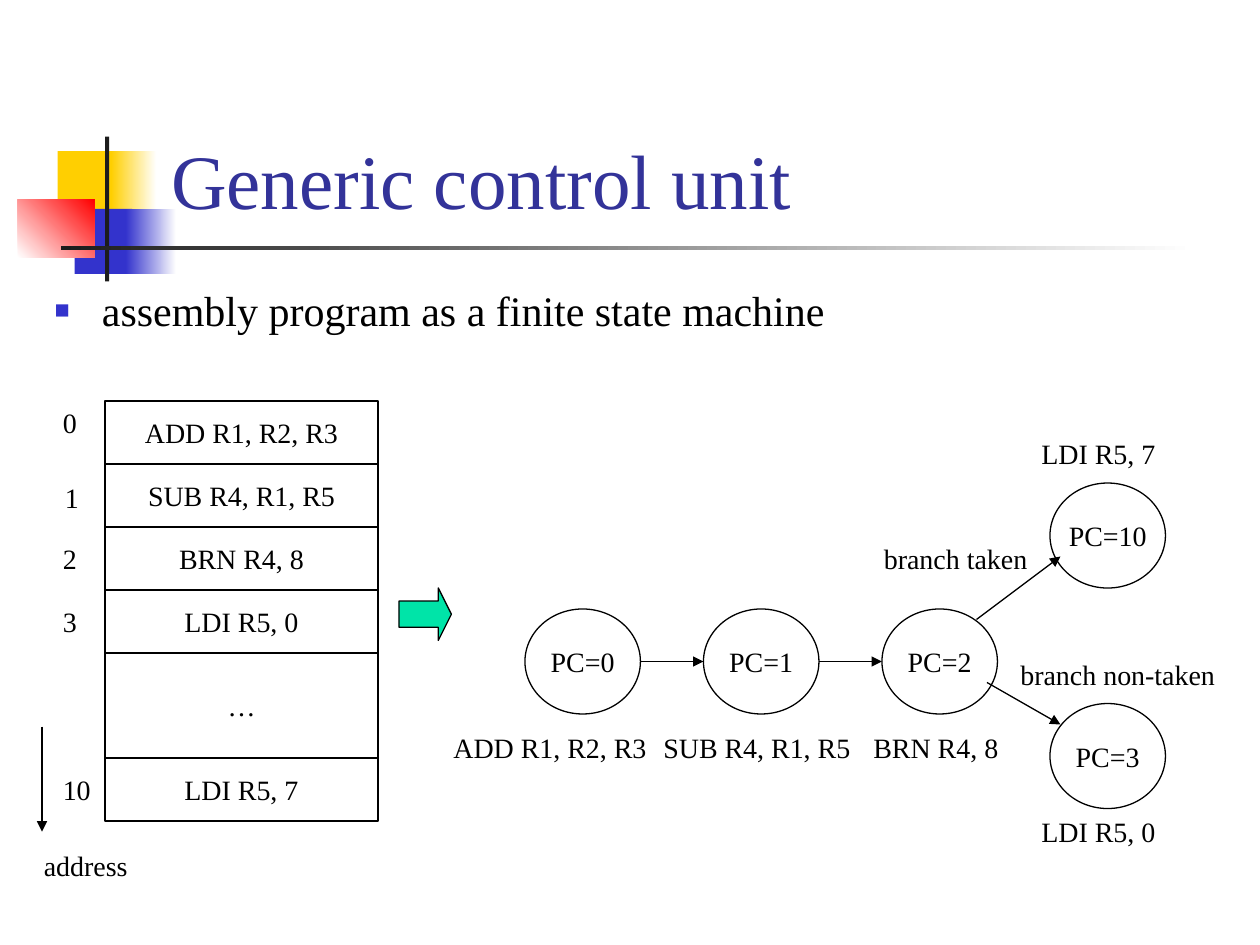
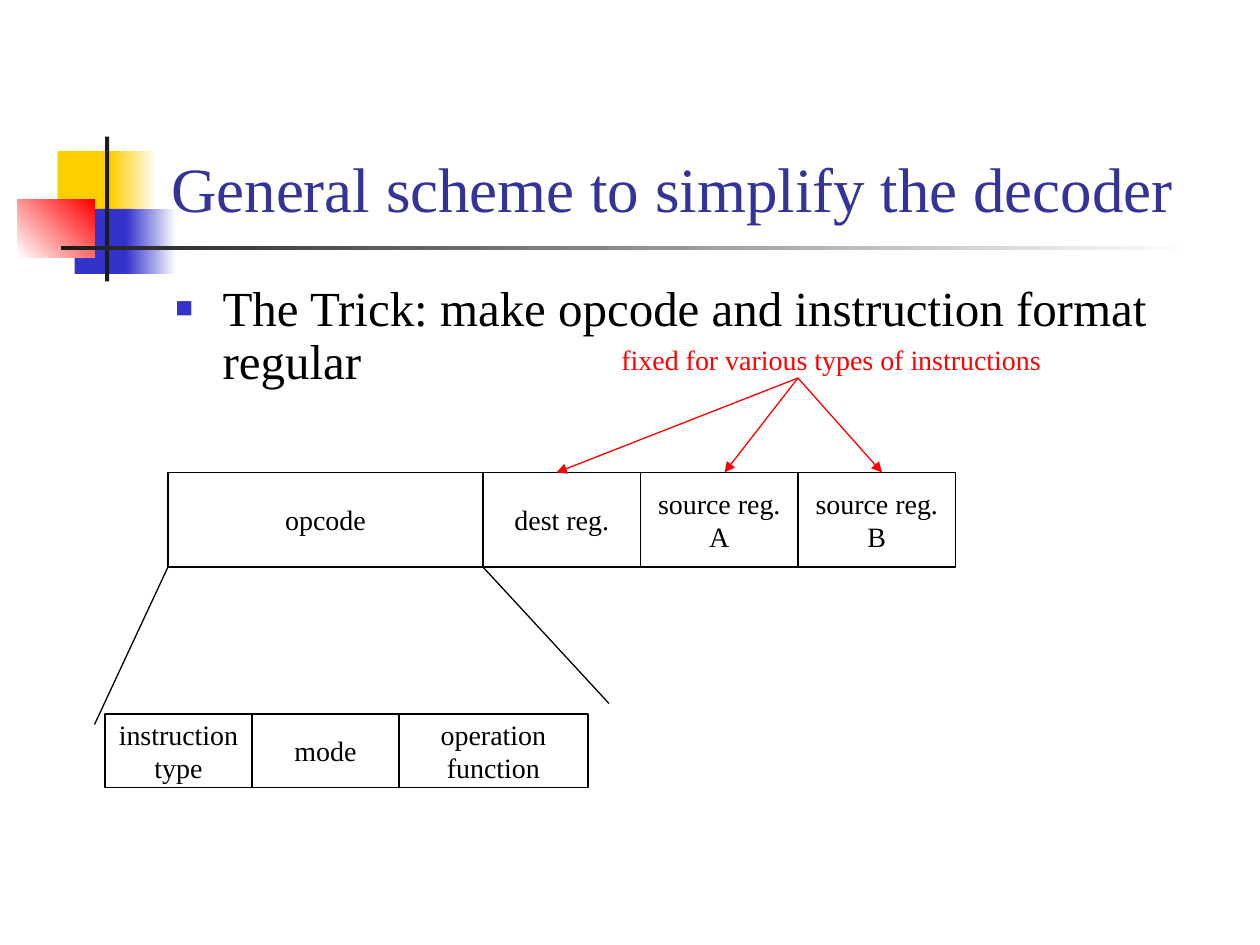
from itertools import accumulate

from lxml import etree
from pptx import Presentation
from pptx.dml.color import RGBColor
from pptx.enum import shapes, text
from pptx.oxml.ns import qn
from pptx import util as u

PX = 7620
FONT = "Times New Roman"
COLORS = {
    "ink": "000000", "paper": "FFFFFF", "title": "333399", "bar": "1C1C1C",
    "yellow": "FFCF01", "blue": "3333CC", "red": "FF0000", "green": "00E4A8",
}
RECT = shapes.MSO_SHAPE.RECTANGLE
LABEL_HEIGHT = 44


def px(*lengths):
    """Turn px lengths into EMU."""
    return [u.Emu(length * PX) for length in lengths]


def rgb(name):
    """Look up a named colour."""
    return RGBColor.from_string(COLORS[name])


def style(frame, size, color="ink", align=text.PP_ALIGN.LEFT):
    """Give every paragraph of a text frame one font and alignment."""
    for paragraph in frame.paragraphs:
        paragraph.alignment = align
        paragraph.font.name = FONT
        paragraph.font.size = u.Pt(size)
        paragraph.font.color.rgb = rgb(color)


def add_node(slide, kind, box, caption="", fill=None):
    """Add an outlined shape with a centred caption."""
    node = slide.shapes.add_shape(kind, *px(*box))
    node.shadow.inherit = False
    node.line.color.rgb = rgb("ink")
    node.line.width = u.Pt(0.75)
    if fill:
        node.fill.solid()
        node.fill.fore_color.rgb = rgb(fill)
    else:
        node.fill.background()
    if caption:
        frame = node.text_frame
        frame.text = caption
        frame.word_wrap = False
        frame.vertical_anchor = text.MSO_ANCHOR.MIDDLE
        style(frame, 16, align=text.PP_ALIGN.CENTER)
    return node


def add_label(slide, left, top, width, caption, color="ink"):
    """Add a one-line free label."""
    frame = slide.shapes.add_textbox(*px(left, top, width, LABEL_HEIGHT)).text_frame
    frame.text = caption
    frame.word_wrap = False
    frame.auto_size = text.MSO_AUTO_SIZE.SHAPE_TO_FIT_TEXT
    style(frame, 16, color)


def add_link(slide, x1, y1, x2, y2, color="ink", arrow=True):
    """Add a straight line, with an arrowhead at its end if wanted."""
    link = slide.shapes.add_connector(shapes.MSO_CONNECTOR.STRAIGHT, *px(x1, y1, x2, y2))
    link.line.color.rgb = rgb(color)
    link.line.width = u.Pt(0.75)
    properties = link.element.spPr
    if arrow:
        etree.SubElement(properties.find(qn("a:ln")), qn("a:tailEnd"), type="triangle")
    etree.SubElement(properties, qn("a:effectLst"))


def add_row(slide, left, top, height, fields):
    """Add adjoining cells from (width, caption) pairs."""
    for width, caption in fields:
        add_node(slide, RECT, (left, top, width, height), caption)
        left += width


def decorate_layout(layout, slide):
    """Move the coloured squares and bars, drawn on a slide, to its layout."""
    for holder in list(layout.placeholders):
        if holder.placeholder_format.idx >= 10:
            layout.shapes.element.remove(holder.element)
    ornaments = [
        ((55, 144, 58, 62), ["yellow"], 0),
        ((106, 144, 43, 62), ["yellow", "paper"], 0),
        ((71, 199, 55, 62), ["blue"], 0),
        ((120, 199, 48, 62), ["blue", "paper"], 0),
        ((17, 190, 73, 55), ["paper", "red"], 45),
        ((100, 130, 4, 138), ["bar"], 0),
        ((58, 234, 1080, 4), ["bar", "paper"], 0),
    ]
    for box, tones, angle in ornaments:
        ornament = slide.shapes.add_shape(RECT, *px(*box))
        ornament.shadow.inherit = False
        ornament.line.fill.background()
        if len(tones) == 1:
            ornament.fill.solid()
            ornament.fill.fore_color.rgb = rgb(tones[0])
        else:
            ornament.fill.gradient()
            ornament.fill.gradient_angle = angle
            for stop, tone in zip(ornament.fill.gradient_stops, tones):
                stop.color.rgb = rgb(tone)
        layout.shapes.element.append(ornament.element)


def place(holder, box, caption, size, color):
    """Move a placeholder into a box and fill it with text."""
    holder.left, holder.top, holder.width, holder.height = px(*box)
    frame = holder.text_frame
    frame.text = caption
    frame.word_wrap = True
    frame.auto_size = text.MSO_AUTO_SIZE.NONE
    style(frame, size, color)
    return frame


def add_heading(slide, title, title_size, bullet, bullet_size, bullet_box):
    """Fill the title and the single square-bulleted line."""
    heading = place(slide.shapes.title, (151, 28, 1022, 192), title, title_size, "title")
    heading.vertical_anchor = text.MSO_ANCHOR.BOTTOM
    body = place(slide.placeholders[1], bullet_box, bullet, bullet_size, "ink")
    body.vertical_anchor = text.MSO_ANCHOR.TOP
    paragraph = body.paragraphs[0]
    paragraph.line_spacing = 0.9
    properties = paragraph._p.get_or_add_pPr()
    indent = 45 * PX
    properties.set("marL", str(indent))
    properties.set("indent", str(-indent))
    bullet_color = etree.Element(qn("a:buClr"))
    etree.SubElement(bullet_color, qn("a:srgbClr"), val=COLORS["blue"])
    marks = [
        bullet_color,
        etree.Element(qn("a:buSzPct"), val="60000"),
        etree.Element(qn("a:buFont"), typeface=FONT),
        etree.Element(qn("a:buChar"), char="■"),
    ]
    position = list(properties).index(properties.find(qn("a:lnSpc"))) + 1
    for offset, mark in enumerate(marks):
        properties.insert(position + offset, mark)


def add_memory(slide, left, top):
    """Draw the program memory with its addresses."""
    program = [(60, "ADD R1, R2, R3"), (60, "SUB R4, R1, R5"), (60, "BRN R4, 8"),
               (60, "LDI R5, 0"), (100, "…"), (60, "LDI R5, 7")]
    ends = accumulate(height for height, _ in program)
    for (height, instruction), end in zip(program, ends):
        add_node(slide, RECT, (left + 70, top + 2 + end - height, 260, height), instruction)
    for x, y, width, address in [(18, 0, 37, "0"), (20, 72, 37, "1"), (18, 130, 37, "2"),
                                 (18, 190, 37, "3"), (18, 350, 52, "10"),
                                 (0, 422, 104, "address")]:
        add_label(slide, left + x, top + y, width, address)
    add_link(slide, left + 10, top + 312, left + 10, top + 412)


def add_state_machine(slide, left, top):
    """Draw the program counter states, transitions and instructions."""
    states = [(80, 170, "PC=0"), (250, 170, "PC=1"), (420, 170, "PC=2"),
              (580, 260, "PC=3"), (580, 50, "PC=10")]
    for x, y, state in states:
        add_node(slide, shapes.MSO_SHAPE.OVAL, (left + x, top + y, 110, 100), state)
    for x1, y1, x2, y2 in [(190, 220, 250, 220), (360, 220, 420, 220),
                           (520, 240, 590, 280), (510, 180, 590, 120)]:
        add_link(slide, left + x1, top + y1, left + x2, top + y2)
    for x, y, width, caption in [
        (410, 100, 162, "branch taken"), (540, 210, 210, "branch non-taken"),
        (0, 280, 208, "ADD R1, R2, R3"), (200, 280, 203, "SUB R4, R1, R5"),
        (400, 280, 143, "BRN R4, 8"), (560, 0, 133, "LDI R5, 7"),
        (560, 360, 133, "LDI R5, 0"),
    ]:
        add_label(slide, left + x, top + y, width, caption)


def add_instruction_format(slide, left, top):
    """Draw the instruction word and the fields inside its opcode."""
    add_row(slide, left, top, 90, [(300, "opcode"), (150, "dest reg."),
                                   (150, "source reg.\nA"), (150, "source reg.\nB")])
    add_row(slide, left - 60, top + 230, 70, [(140, "instruction\ntype"), (140, "mode"),
                                              (180, "operation\nfunction")])
    add_link(slide, left, top + 90, left - 70, top + 240, arrow=False)
    add_link(slide, left + 300, top + 90, left + 420, top + 220, arrow=False)


def add_fixed_note(slide, left, top):
    """Draw the red note and its arrows to the register fields."""
    add_label(slide, left, top, 426, "fixed for various types of instructions", "red")
    for target in (-50, 110, 260):
        add_link(slide, left + 180, top + 40, left + target, top + 130, "red")


def build_control_unit(slide):
    """Build the slide on the generic control unit."""
    add_heading(slide, "Generic control unit", 44,
                "assembly program as a finite state machine", 24, (40, 270, 820, 90))
    add_state_machine(slide, 420, 410)
    add_memory(slide, 30, 380)
    arrow = add_node(slide, shapes.MSO_SHAPE.RIGHT_ARROW, (380, 560, 50, 50), fill="green")
    arrow.adjustments[0] = 0.5
    arrow.adjustments[1] = 0.25


def build_decoder(slide):
    """Build the slide on simplifying the decoder."""
    add_heading(slide, "General scheme to simplify the decoder", 36,
                "The Trick: make opcode and instruction format regular", 28,
                (155, 265, 1020, 108))
    add_instruction_format(slide, 160, 450)
    add_fixed_note(slide, 580, 320)


def main():
    """Build and save the presentation."""
    deck = Presentation()
    deck.slide_width, deck.slide_height = px(1200, 900)
    layout = deck.slide_layouts[1]
    control_unit, decoder = [deck.slides.add_slide(layout) for _ in range(2)]
    decorate_layout(layout, control_unit)
    build_control_unit(control_unit)
    build_decoder(decoder)
    deck.save("out.pptx")


if __name__ == "__main__":
    main()
